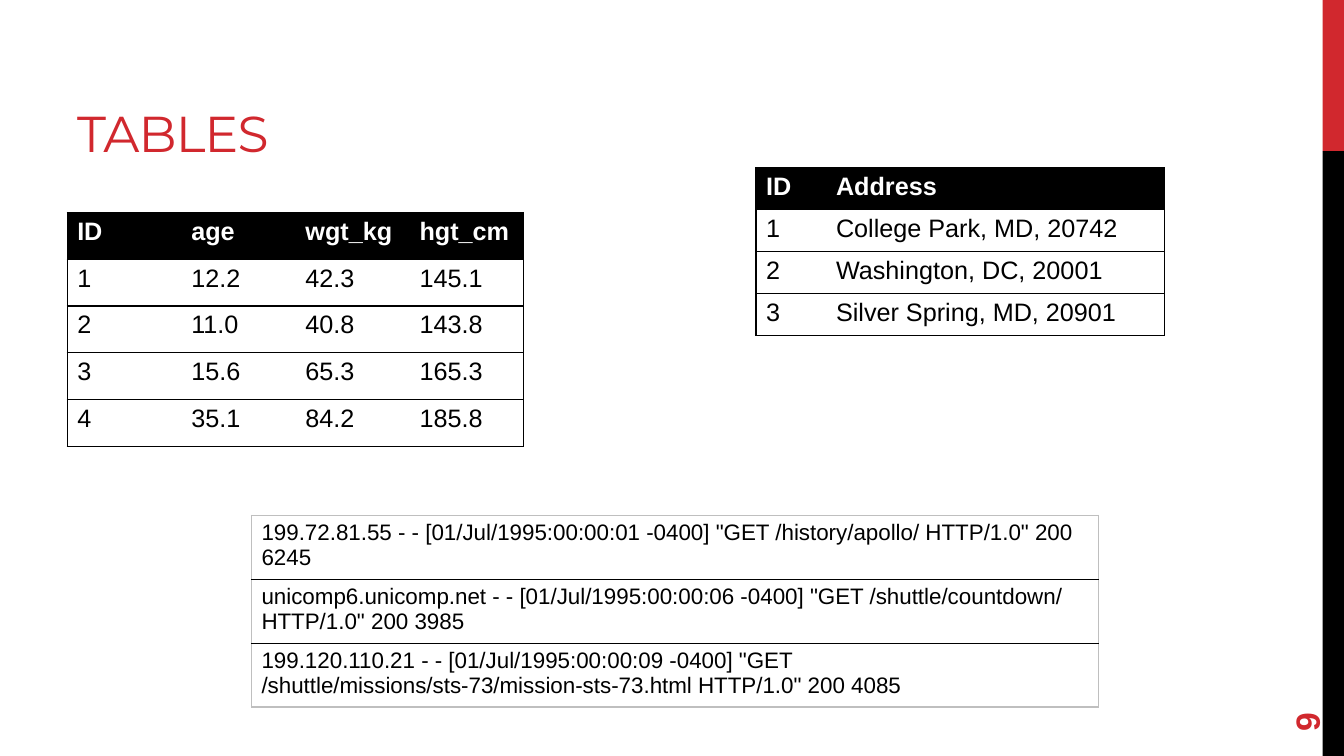
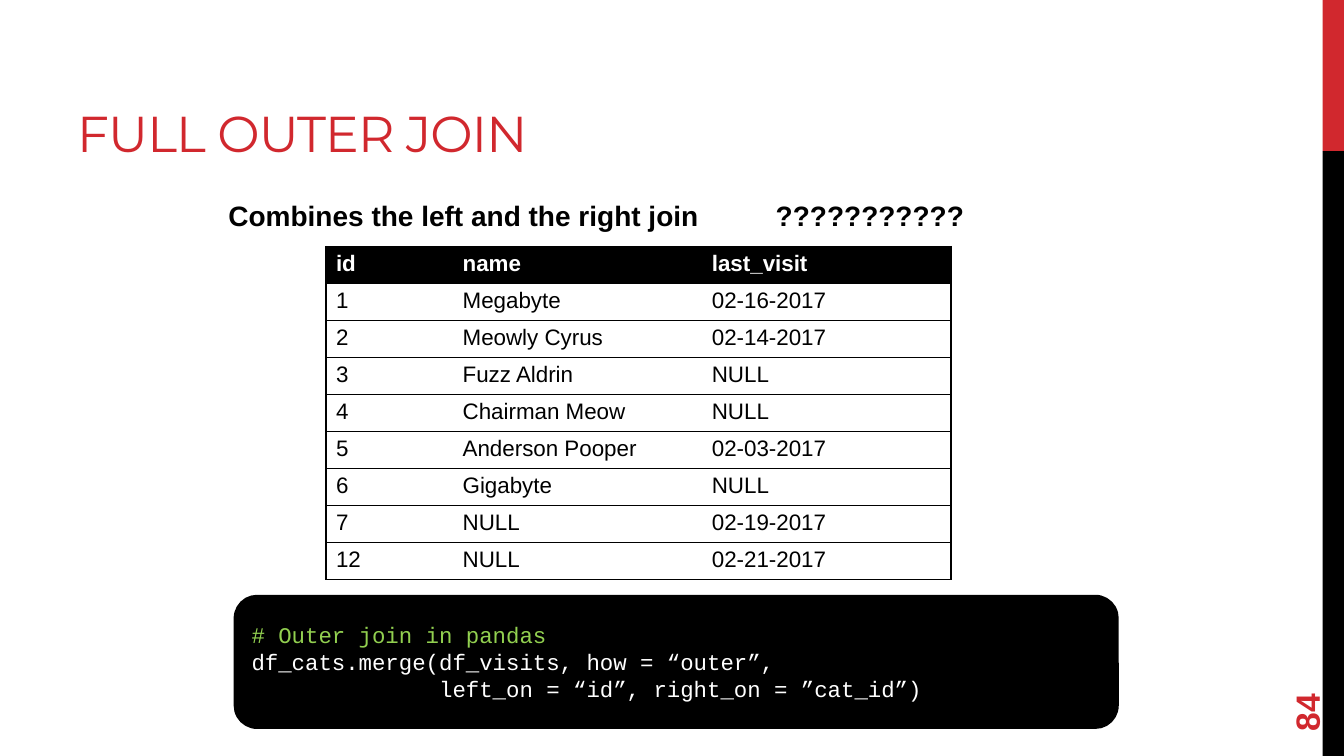
from pptx import Presentation
from pptx.dml.color import RGBColor as Rgb
from pptx.enum.shapes import MSO_SHAPE as Geo
from pptx.enum.text import MSO_ANCHOR as Anchor, PP_ALIGN as Align
from pptx.oxml import parse_xml
from pptx.oxml.ns import nsdecls, qn
from pptx.util import Pt

COLORS = {"red": "D1282E", "black": "000000", "white": "FFFFFF",
          "green": "92D050", "gray": "BFBFBF"}
PLAIN = "{2D5ABB26-0587-4C30-8999-92F81FD0307C}"  # no style, no grid


def rgb(name):
    return Rgb.from_string(COLORS[name])


class Deck:
    def __init__(self):
        self.show = Presentation()
        self.show.slide_width, self.show.slide_height = Pt(960), Pt(540)

    def start(self, title, number):
        """Add a slide with its side bands, title and turned page number."""
        layout = self.show.slide_layouts[6]
        self.shapes = self.show.slides.add_slide(layout).shapes
        self.block(Geo.RECTANGLE, (944.8, 0, 15.2, 108), "red")
        self.block(Geo.RECTANGLE, (944.8, 108, 15.2, 432), "black")
        head = self.text((48, 12, 608, 108), title, 36, "red",
                         font="Montserrat", anchor=Anchor.BOTTOM)
        run = head.text_frame.paragraphs[0].runs[0]
        run.font._element.set("spc", "-60")
        page = self.text((881.4, 458.6, 103.6, 38), number, 24, "red",
                         bold=True, anchor=Anchor.MIDDLE)
        page.rotation = 270

    def block(self, kind, box, color):
        shape = self.shapes.add_shape(kind, *map(Pt, box))
        shape.shadow.inherit = False
        shape.fill.solid()
        shape.fill.fore_color.rgb = rgb(color)
        shape.line.fill.background()
        return shape

    def run(self, para, text, size, color, font="Arial", bold=False):
        run = para.add_run()
        run.text = text
        run.font.size, run.font.name, run.font.bold = Pt(size), font, bold
        run.font.color.rgb = rgb(color)

    def text(self, box, text, size, color, anchor=Anchor.TOP, tab=None, **style):
        shape = self.shapes.add_textbox(*map(Pt, box))
        frame = shape.text_frame
        frame.word_wrap, frame.vertical_anchor = True, anchor
        para = frame.paragraphs[0]
        if tab:
            para._p.get_or_add_pPr().append(parse_xml(
                f'<a:tabLst {nsdecls("a")}>'
                f'<a:tab pos="{Pt(tab)}" algn="l"/></a:tabLst>'))
        self.run(para, text, size, color, **style)
        return shape

    def code(self, box, lines):
        shape = self.block(Geo.ROUNDED_RECTANGLE, box, "black")
        shape.line.color.rgb, shape.line.width = rgb("black"), Pt(2.25)
        frame = shape.text_frame
        frame.word_wrap, frame.vertical_anchor = True, Anchor.MIDDLE
        for i, (line, color) in enumerate(lines):
            para = frame.add_paragraph() if i else frame.paragraphs[0]
            para.alignment = Align.LEFT
            self.run(para, line, 16, color, font="Courier New")

    def edge(self, cell, side, color):
        cell._tc.get_or_add_tcPr().append(parse_xml(
            f'<a:ln{side} {nsdecls("a")} w="{Pt(1)}"><a:solidFill>'
            f'<a:srgbClr val="{COLORS[color]}"/></a:solidFill></a:ln{side}>'))

    def table(self, left, top, cols, high, rows, size, head=True, rim="black"):
        """Rule every row, and box the whole table in the rim colour."""
        wide, deep = len(cols), len(rows)
        table = self.shapes.add_table(
            deep, wide, Pt(left), Pt(top), Pt(sum(cols)), Pt(high * deep)).table
        table.first_row, table.horz_banding = head, False
        table._tbl.tblPr.find(qn("a:tableStyleId")).text = PLAIN
        for col, width in zip(table.columns, cols):
            col.width = Pt(width)
        for r, row in enumerate(rows):
            table.rows[r].height = Pt(high)
            for c, text in enumerate(row):
                cell, top_row = table.cell(r, c), head and r == 0
                if c == 0:
                    self.edge(cell, "L", rim)
                if c == wide - 1:
                    self.edge(cell, "R", rim)
                self.edge(cell, "T", "black" if r else rim)
                self.edge(cell, "B", "black" if r < deep - 1 else rim)
                cell.fill.solid()
                cell.fill.fore_color.rgb = rgb("black" if top_row else "white")
                self.run(cell.text_frame.paragraphs[0], text, size,
                         "white" if top_row else "black", bold=top_row)


def main():
    deck = Deck()

    deck.start("TABLES", "9")
    deck.table(48, 151.8, [81.5] * 4, 33.4, [
        ("ID", "age", "wgt_kg", "hgt_cm"),
        ("1", "12.2", "42.3", "145.1"),
        ("2", "11.0", "40.8", "143.8"),
        ("3", "15.6", "65.3", "165.3"),
        ("4", "35.1", "84.2", "185.8")], 18)
    deck.table(540, 119.8, [50, 242], 30, [
        ("ID", "Address"),
        ("1", "College Park, MD, 20742"),
        ("2", "Washington, DC, 20001"),
        ("3", "Silver Spring, MD, 20901")], 18)
    logs = [
        '199.72.81.55 - - [01/Jul/1995:00:00:01 -0400] '
        '"GET /history/apollo/ HTTP/1.0" 200 6245',
        'unicomp6.unicomp.net - - [01/Jul/1995:00:00:06 -0400] '
        '"GET /shuttle/countdown/ HTTP/1.0" 200 3985',
        '199.120.110.21 - - [01/Jul/1995:00:00:09 -0400] '
        '"GET /shuttle/missions/sts-73/mission-sts-73.html HTTP/1.0" 200 4085']
    deck.table(179.6, 368.2, [605], 42.9, [(log,) for log in logs], 16,
               head=False, rim="gray")

    deck.start("FULL OUTER JOIN", "84")
    deck.text((156, 138, 600, 38),
              "Combines the left and the right join\t???????????",
              20, "black", bold=True, tab=391)
    deck.table(232.8, 176, [90.5, 178, 178], 26.4, [
        ("id", "name", "last_visit"),
        ("1", "Megabyte", "02-16-2017"),
        ("2", "Meowly Cyrus", "02-14-2017"),
        ("3", "Fuzz Aldrin", "NULL"),
        ("4", "Chairman Meow", "NULL"),
        ("5", "Anderson Pooper", "02-03-2017"),
        ("6", "Gigabyte", "NULL"),
        ("7", "NULL", "02-19-2017"),
        ("12", "NULL", "02-21-2017")], 16)
    deck.code((168, 426, 630, 93.6), [
        ("# Outer join in pandas", "green"),
        ("df_cats.merge(df_visits, how = “outer”,", "white"),
        ("              left_on = “id”, right_on = ”cat_id”)", "white")])

    deck.show.save("out.pptx")


if __name__ == "__main__":
    main()
